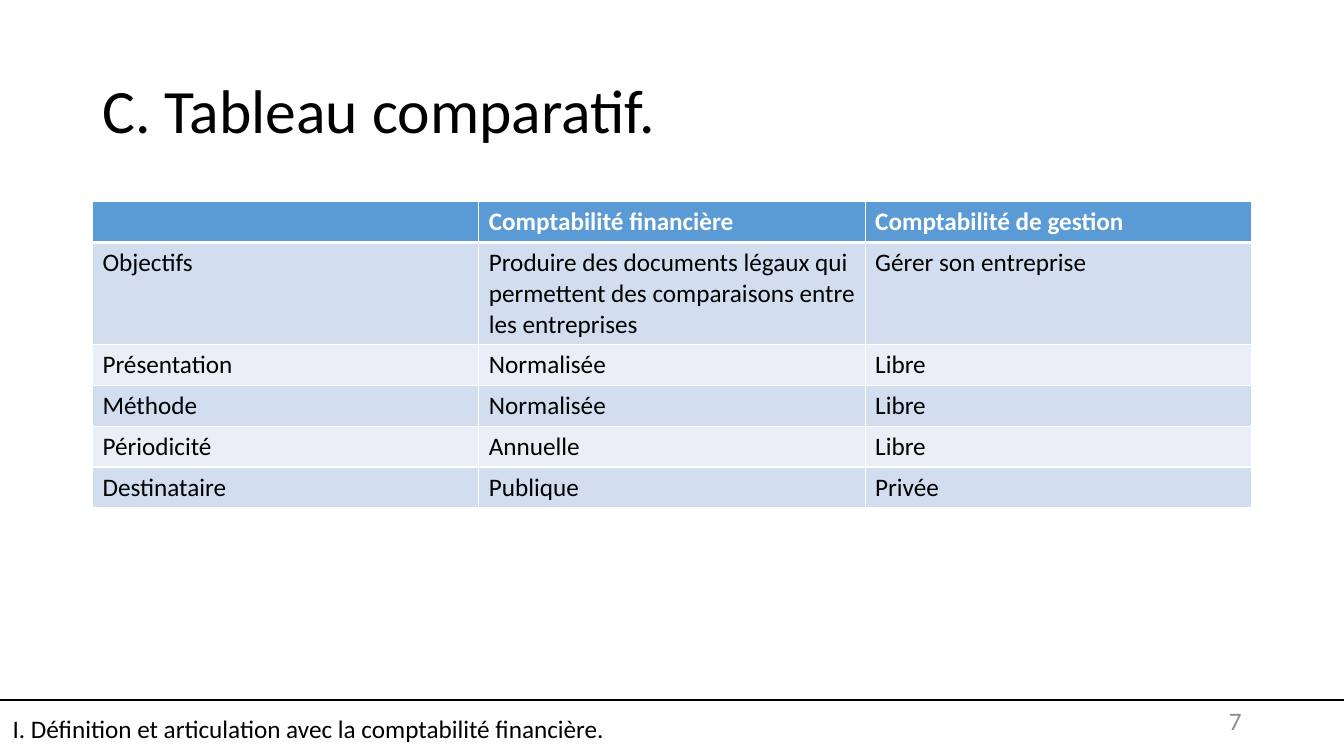
from lxml.etree import SubElement as Sub
from pptx import Presentation
from pptx.dml.color import RGBColor
from pptx.enum.shapes import MSO_CONNECTOR as LINK, MSO_SHAPE as SHAPE
from pptx.enum.text import MSO_ANCHOR as ANCHOR, PP_ALIGN as ALIGN
from pptx.oxml.ns import qn
from pptx.util import Cm, Pt

BLACK, WHITE, GREY = "000000", "FFFFFF", "8C8C8C"
HEAD, DARK, PALE = "5B9BD5", "D2DEEF", "EAEFF7"
WIDE, HIGH = 33.87, 19.05
ROWS = [
    ("", "Comptabilité financière", "Comptabilité de gestion"),
    ("Objectifs",
     "Produire des documents légaux qui permettent des comparaisons entre les entreprises",
     "Gérer son entreprise"),
    ("Présentation", "Normalisée", "Libre"),
    ("Méthode", "Normalisée", "Libre"),
    ("Périodicité", "Annuelle", "Libre"),
    ("Destinataire", "Publique", "Privée"),
]


def color(code):
    return RGBColor.from_string(code)


def write(frame, text, size=18, code=BLACK, bold=False, align=ALIGN.LEFT,
          anchor=ANCHOR.MIDDLE, space=1.0):
    frame.word_wrap = True
    frame.vertical_anchor = anchor
    par = frame.paragraphs[0]
    par.alignment, par.line_spacing = align, space
    par.font.size = Pt(size)
    if text:
        run = par.add_run()
        run.text = text
        font = run.font
        font.name, font.size, font.bold = "Calibri", Pt(size), bold
        font.color.rgb = color(code)


def edge(cell, side, width):
    line = Sub(cell._tc.get_or_add_tcPr(), qn("a:ln" + side), w=str(Pt(width)))
    Sub(Sub(line, qn("a:solidFill")), qn("a:srgbClr"), val=WHITE)


def title(slide, left, top, width, height):
    box = slide.shapes.add_textbox(Cm(left), Cm(top), Cm(width), Cm(height))
    write(box.text_frame, "C. Tableau comparatif.", size=44, space=0.9)


def table(slide, left, top, width, step):
    heights = [step, 2.57] + [step] * (len(ROWS) - 2)
    frame = slide.shapes.add_table(len(ROWS), len(ROWS[0]), Cm(left), Cm(top),
                                   Cm(width), Cm(sum(heights)))
    grid = frame.table
    for r, texts in enumerate(ROWS):
        grid.rows[r].height = Cm(heights[r])
        head = r == 0
        fill = HEAD if head else DARK if r % 2 else PALE
        for c, text in enumerate(texts):
            cell = grid.cell(r, c)
            write(cell.text_frame, text, code=WHITE if head else BLACK,
                  bold=head, anchor=ANCHOR.TOP)
            # The rule under the header row is thicker
            edge(cell, "L", 1)
            edge(cell, "R", 1)
            edge(cell, "T", 3 if r == 1 else 1)
            edge(cell, "B", 3 if head else 1)
            cell.fill.solid()
            cell.fill.fore_color.rgb = color(fill)


def footer(slide, left, top, width, height):
    # Rule across the slide
    rule = slide.shapes.add_connector(LINK.STRAIGHT, Cm(left), Cm(top),
                                      Cm(left + width), Cm(top))
    rule.line.width = Pt(1.5)
    rule.line.color.rgb = color(BLACK)
    Sub(rule._element.spPr, qn("a:effectLst"))
    # Page number
    page = slide.shapes.add_textbox(Cm(left + 23.92), Cm(top), Cm(7.62), Cm(1.01))
    write(page.text_frame, "7", code=GREY, align=ALIGN.RIGHT)
    # Chapter name
    bar = slide.shapes.add_shape(SHAPE.ROUNDED_RECTANGLE, Cm(left), Cm(top),
                                 Cm(width), Cm(height))
    bar.shadow.inherit = False
    bar.fill.background()
    bar.line.fill.background()
    write(bar.text_frame,
          "I. Définition et articulation avec la comptabilité financière.")


def main():
    deck = Presentation()
    deck.slide_width, deck.slide_height = Cm(WIDE), Cm(HIGH)
    slide = deck.slides.add_slide(deck.slide_layouts[6])
    title(slide, 2.33, 1.01, 29.21, 3.68)
    table(slide, 2.33, 5.08, 29.21, 1.03)
    footer(slide, 0, 17.65, WIDE, HIGH - 17.65)
    deck.save("out.pptx")


if __name__ == "__main__":
    main()
